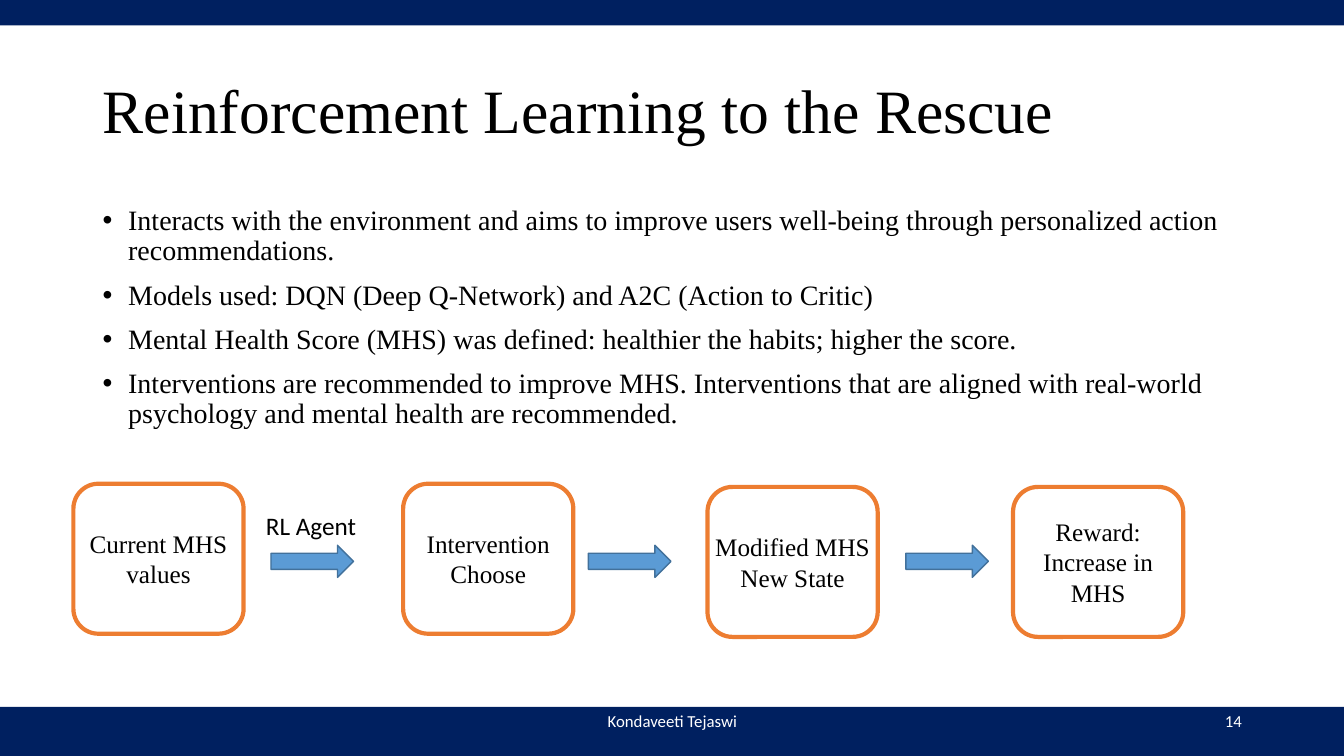
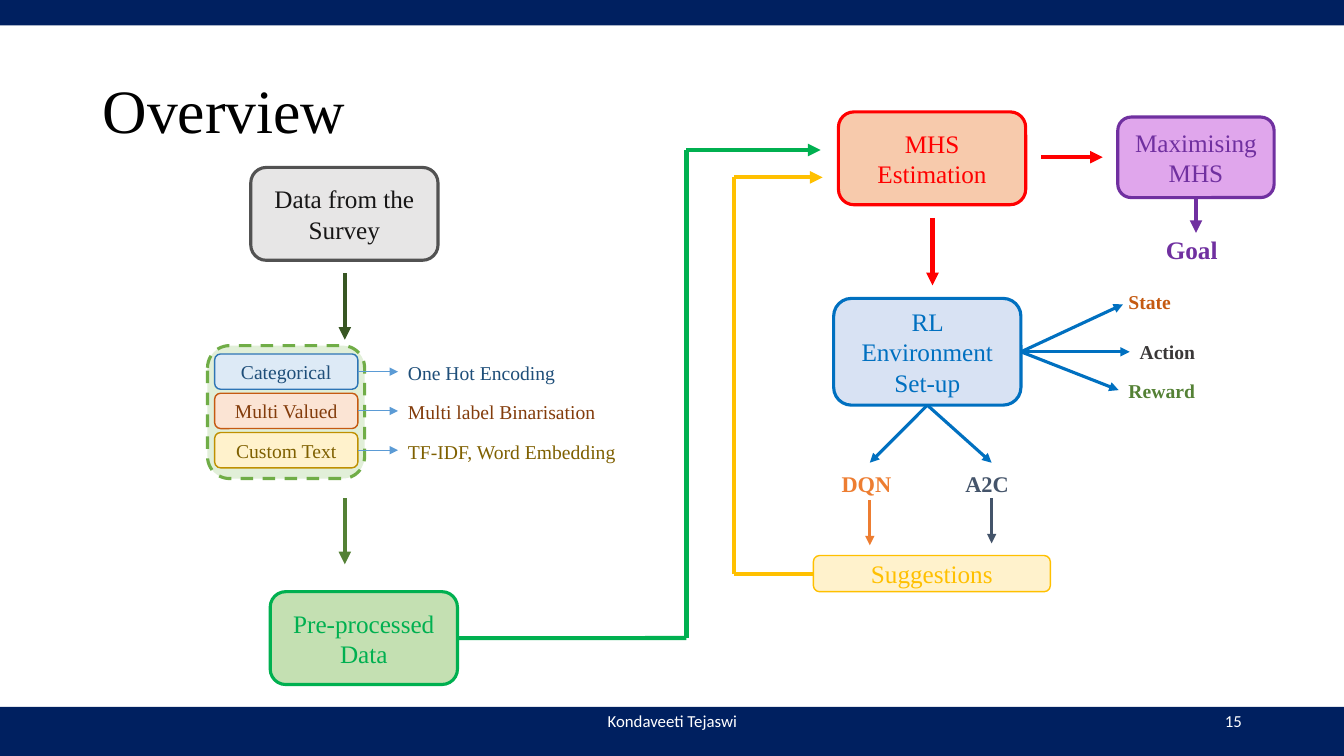
from lxml.etree import SubElement
from pptx import Presentation
from pptx.dml.color import RGBColor
from pptx.enum.dml import MSO_LINE
from pptx.enum.shapes import MSO_CONNECTOR, MSO_SHAPE
from pptx.enum.text import MSO_ANCHOR, PP_ALIGN
from pptx.oxml.ns import qn
from pptx.util import Cm, Pt

SERIF = "Times New Roman"
SANS = "Calibri"
WIDTH, HEIGHT = 33.87, 19.05
TOP, LEFT, BOTTOM, RIGHT = range(4)

COLORS = {
    "black": "000000", "white": "FFFFFF", "navy": "002060",
    "orange": "ED7D31", "sky": "5B9BD5", "steel": "42719B",
    "mint": "E1EFD8", "leaf": "70AD47", "moss": "548135", "pine": "385623",
    "silver": "E7E6E6", "gray": "525252", "ink": "171616", "charcoal": "3A3838",
    "ice": "DDEAF6", "denim": "2E75B5", "midnight": "1E4E79",
    "peach": "FBE4D4", "rust": "C55A11", "brown": "833C0B",
    "cream": "FFF2CC", "ochre": "BF9000", "olive": "7F6000", "gold": "FFC000",
    "sage": "C4E0B2", "green": "00B050", "salmon": "F7CAAC", "red": "FF0000",
    "mist": "D8E2F3", "blue": "0070C0", "slate": "44546A",
    "lilac": "E0A6EC", "purple": "7030A0",
}


def rgb(name):
    return RGBColor.from_string(COLORS[name])


def add_bullet(paragraph):
    properties = paragraph._p.get_or_add_pPr()
    properties.set("marL", str(Cm(0.64)))
    properties.set("indent", str(-Cm(0.64)))
    SubElement(properties, qn("a:buFont"), typeface="Arial")
    SubElement(properties, qn("a:buChar"), char="•")


def write(shape, text, size=18, color="black", font=SERIF, bold=False,
          align=PP_ALIGN.LEFT, anchor=MSO_ANCHOR.TOP, spacing=None,
          before=0, bullet=False, wrap=True):
    frame = shape.text_frame
    frame.word_wrap = wrap
    frame.vertical_anchor = anchor
    for index, line in enumerate(text.split("\n")):
        paragraph = frame.add_paragraph() if index else frame.paragraphs[0]
        paragraph.text = line
        paragraph.alignment = align
        if bullet:
            add_bullet(paragraph)
        if spacing:
            paragraph.line_spacing = spacing
        if index and before:
            paragraph.space_before = Pt(before)
        for run in paragraph.runs:
            run.font.size = Pt(size)
            run.font.name = font
            run.font.bold = bold
            run.font.color.rgb = rgb(color)


def add_label(slide, text, left, top, width, height, **style):
    label = slide.shapes.add_textbox(Cm(left), Cm(top), Cm(width), Cm(height))
    write(label, text, **style)


def add_block(slide, kind, left, top, width, height, fill=None, line=None,
              weight=1):
    block = slide.shapes.add_shape(kind, Cm(left), Cm(top), Cm(width), Cm(height))
    block.shadow.inherit = False
    if fill:
        block.fill.solid()
        block.fill.fore_color.rgb = rgb(fill)
    else:
        block.fill.background()
    if line:
        block.line.color.rgb = rgb(line)
        block.line.width = Pt(weight)
    else:
        block.line.fill.background()
    return block


def add_box(slide, text, left, top, width, height, fill=None, line=None,
            weight=2.25, **style):
    box = add_block(slide, MSO_SHAPE.ROUNDED_RECTANGLE, left, top, width, height,
                    fill, line, weight)
    write(box, text, align=PP_ALIGN.CENTER, anchor=MSO_ANCHOR.MIDDLE, **style)
    return box


def add_route(slide, points, color, weight=3, start=None):
    legs = list(zip(points, points[1:]))
    for index, (begin, end) in enumerate(legs):
        leg = slide.shapes.add_connector(
            MSO_CONNECTOR.STRAIGHT, *(Cm(value) for value in begin + end))
        if start and index == 0:
            leg.begin_connect(*start)
        leg.line.color.rgb = rgb(color)
        leg.line.width = Pt(weight)
        SubElement(leg._element.spPr, qn("a:effectLst"))
        if index == len(legs) - 1:
            SubElement(leg.line._get_or_add_ln(), qn("a:tailEnd"), type="triangle")


def add_base(presentation, title, number):
    slide = presentation.slides.add_slide(presentation.slide_layouts[6])
    for top, height in ((0, 0.64), (17.81, 1.24)):
        add_block(slide, MSO_SHAPE.RECTANGLE, 0, top, WIDTH, height, "navy")
    add_label(slide, title, 2.34, 1.02, 29.21, 3.68, size=44, spacing=0.9,
              anchor=MSO_ANCHOR.MIDDLE)
    for text, left, width, align in (
            ("Kondaveeti Tejaswi", 11.23, 11.43, PP_ALIGN.CENTER),
            (str(number), 23.93, 7.62, PP_ALIGN.RIGHT)):
        add_label(slide, text, left, 17.65, width, 1.02, size=12, font=SANS,
                  color="white", align=align, anchor=MSO_ANCHOR.MIDDLE)
    return slide


def build_reinforcement(presentation):
    slide = add_base(presentation, "Reinforcement Learning to the Rescue", 14)
    points = (
        "Interacts with the environment and aims to improve users well-being "
        "through personalized action recommendations.",
        "Models used: DQN (Deep Q-Network) and A2C (Action to Critic)",
        "Mental Health Score (MHS) was defined: healthier the habits; "
        "higher the score.",
        "Interventions are recommended to improve MHS. Interventions that are "
        "aligned with real-world psychology and mental health are recommended.",
    )
    add_label(slide, "\n".join(points), 2.34, 5.08, 29.21, 6.5, size=20,
              spacing=0.9, before=10, bullet=True)
    steps = (
        ("Current MHS\vvalues", 1.85, 12.19),
        ("Intervention\nChoose", 10.16, 12.19),
        ("Modified MHS\nNew State", 17.83, 12.27),
        ("Reward:\nIncrease in\nMHS", 25.53, 12.27),
    )
    for text, left, top in steps:
        add_box(slide, text, left, top, 4.29, 3.78, line="orange", weight=3,
                wrap=False)
    for index in range(len(steps) - 1):
        add_block(slide, MSO_SHAPE.RIGHT_ARROW, 6.83 + 8 * index, 13.74,
                  2.08, 0.81, "sky", "steel")
    add_label(slide, "RL Agent", 6.43, 12.73, 2.82, 1.02, font=SANS,
              align=PP_ALIGN.CENTER)


def add_preprocessing(slide):
    add_box(slide, "Data from the Survey", 6.32, 4.22, 4.72, 2.34,
            "silver", "gray", color="ink")
    add_route(slide, [(8.69, 6.88), (8.69, 8.56)], "pine")
    group = add_block(slide, MSO_SHAPE.ROUNDED_RECTANGLE, 5.23, 8.71, 3.96, 3.35,
                      "mint", "leaf", 2.25)
    group.line.dash_style = MSO_LINE.DASH
    encodings = (
        ("Categorical", "One Hot Encoding", "ice", "denim", "midnight"),
        ("Multi Valued", "Multi label Binarisation", "peach", "rust", "brown"),
        ("Custom Text", "TF-IDF, Word Embedding", "cream", "ochre", "olive"),
    )
    for index, (category, encoding, fill, line, color) in enumerate(encodings):
        top = 8.92 + 0.99 * index
        middle = top + 0.445
        source = add_box(slide, category, 5.41, top, 3.61, 0.89, fill, line, 1,
                         size=14, color=color)
        add_route(slide, [(9.02, middle), (10.03, middle)], "sky", 0.75,
                  (source, RIGHT))
        add_label(slide, encoding, 10.03, top + 0.05, 6.68, 0.86, size=14,
                  color=color)
    add_route(slide, [(8.69, 12.55), (8.69, 14.22)], "moss")
    processed = add_box(slide, "Pre-processed Data", 6.81, 14.91, 4.72, 2.34,
                        "sage", "green", color="green")
    add_route(slide, [(11.53, 16.08), (17.3, 16.08), (17.3, 3.78), (20.68, 3.78)],
              "green", start=(processed, RIGHT))


def add_learning(slide):
    add_box(slide, "MHS Estimation", 21.13, 2.82, 4.72, 2.34, "salmon", "red",
            color="red")
    add_route(slide, [(23.5, 5.49), (23.5, 7.19)], "red")
    add_route(slide, [(26.24, 3.96), (27.79, 3.96)], "red")
    maximising = add_box(slide, "Maximising MHS", 28.17, 2.95, 3.94, 2.03,
                         "lilac", "purple", color="purple")
    add_route(slide, [(30.14, 4.98), (30.14, 5.87)], "purple",
              start=(maximising, BOTTOM))
    add_label(slide, "Goal", 29.13, 5.77, 2.01, 1.02, color="purple", bold=True)

    environment = add_box(slide, "RL Environment\nSet-up", 21.01, 7.52, 4.72, 2.69,
                          "mist", "blue", color="blue")
    elements = (
        ("State", 28.19, 7.19, "rust", (28.3, 7.67)),
        ("Action", 28.47, 8.43, "charcoal", (28.47, 8.865)),
        ("Reward", 28.19, 9.42, "moss", (28.19, 9.83)),
    )
    for text, left, top, color, tip in elements:
        add_route(slide, [(25.73, 8.865), tip], "blue", 2.25, (environment, RIGHT))
        add_label(slide, text, left, top, 2.26, 0.86, size=14, color=color, bold=True)
    models = (
        ("DQN", 20.96, "orange", 21.92, 12.6),
        ("A2C", 24.08, "slate", 24.99, 12.55),
    )
    for text, left, color, center, start in models:
        add_route(slide, [(23.37, 10.21), (center, 11.66)], "blue", 2.25,
                  (environment, BOTTOM))
        add_label(slide, text, left, 11.73, 1.93, 0.94, size=16, color=color,
                  bold=True)
        add_route(slide, [(center, start), (center, start + 1.14)], color, 2.25)
    suggestions = add_box(slide, "Suggestions", 20.5, 14, 5.97, 0.91,
                          "cream", "gold", 1, color="gold")
    add_route(slide, [(20.5, 14.455), (18.5, 14.455), (18.5, 4.47), (20.73, 4.47)],
              "gold", start=(suggestions, LEFT))


def build_overview(presentation):
    slide = add_base(presentation, "Overview", 15)
    add_preprocessing(slide)
    add_learning(slide)


def main():
    presentation = Presentation()
    presentation.slide_width = Cm(WIDTH)
    presentation.slide_height = Cm(HEIGHT)
    build_reinforcement(presentation)
    build_overview(presentation)
    presentation.save("out.pptx")


if __name__ == "__main__":
    main()
